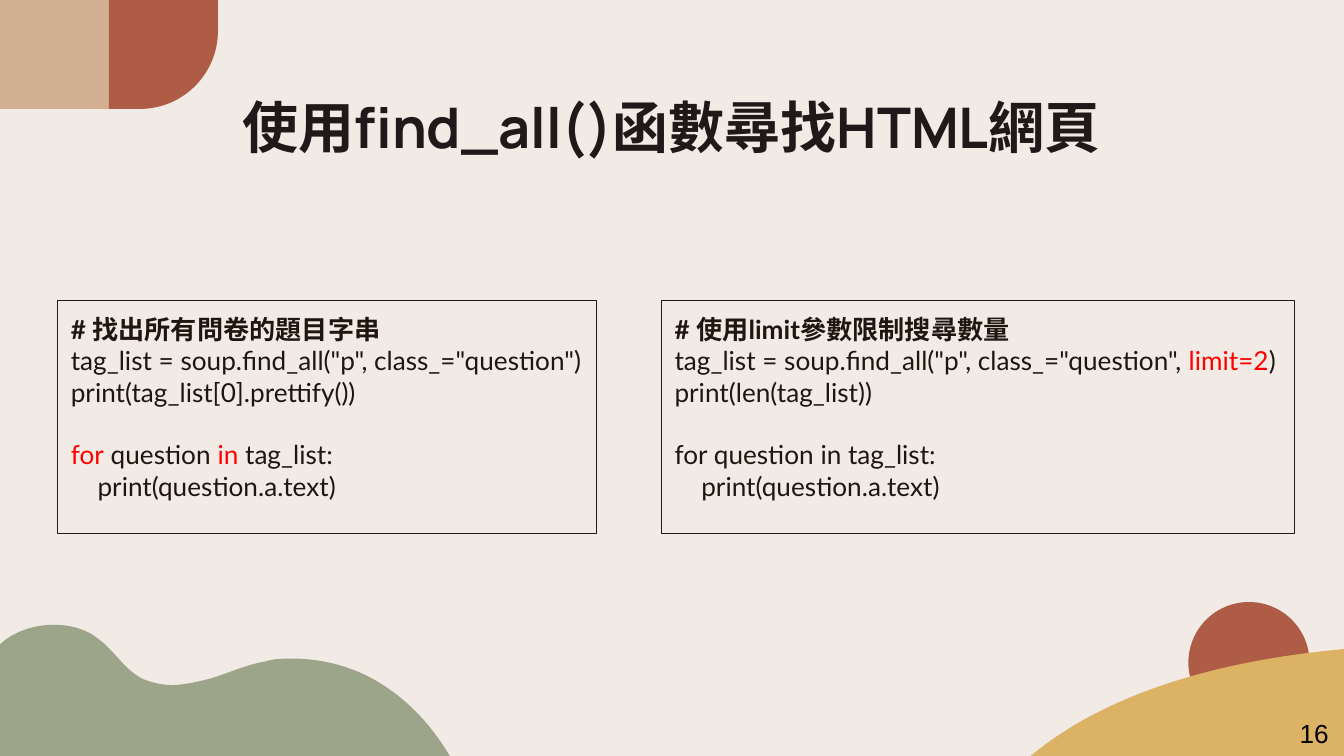
from lxml import etree
from pptx import Presentation, util as u
from pptx.dml.color import RGBColor
from pptx.enum import shapes, text
from pptx.oxml import ns

# Content: code lines are lists of (text, colour) runs
INK, CODE, RED, RUST = "1F191A", "1F1610", "FF0000", "AF5C46"
TITLE = "使用find_all()函數尋找HTML網頁"
PAGE = "16"
BOXES = [
    (1.09, 10.18, [
        [("# 找出所有問卷的題目字串", CODE)],
        [('tag_list = soup.find_all("p", class_="question")', CODE)],
        [("print(tag_list[0].prettify())", CODE)],
        [("for", RED), (" question ", CODE), ("in ", RED), ("tag_list:", CODE)],
        [("    print(question.a.text)", CODE)],
    ]),
    (12.5, 11.97, [
        [("# 使用limit參數限制搜尋數量", CODE)],
        [('tag_list = soup.find_all("p", class_="question", ', CODE),
         ("limit=2", RED), (")", CODE)],
        [("print(len(tag_list))", CODE)],
        [("for question in tag_list:", CODE)],
        [("    print(question.a.text)", CODE)],
    ]),
]
GAP_ROW = 3  # this code line follows a one-line gap

# Outlines in cm: a pair is a straight line, six numbers are a Bezier curve
HILL = [(1.02, 11.81), (0.58, 11.81, 0.13, 11.99, -0.1, 12.29),
        (-0.05, 14.43), (8.59, 14.45),
        (8.28, 13.87, 7.82, 13.31, 7.21, 12.93),
        (6.73, 12.62, 6.12, 12.45, 5.54, 12.45),
        (5.36, 12.45, 5.18, 12.45, 5.03, 12.5),
        (4.62, 12.57, 4.27, 12.75, 3.89, 12.85),
        (3.68, 12.9, 3.45, 12.95, 3.25, 12.95),
        (3.05, 12.95, 2.87, 12.9, 2.69, 12.83),
        (2.34, 12.65, 2.16, 12.29, 1.85, 12.07),
        (1.63, 11.89, 1.32, 11.81, 1.02, 11.81)]
DUNE = [(19.48, 14.29), (20.35, 13.56, 22.07, 12.57, 25.4, 12.27),
        (25.4, 14.29)]
LEAF = [(4.12, 0.58), (4.12, 1.4, 3.46, 2.06, 2.64, 2.06),
        (2.06, 2.06), (2.06, 0), (4.12, 0)]

deck = Presentation()
deck.slide_width, deck.slide_height = u.Cm(25.4), u.Cm(14.29)
slide = deck.slides.add_slide(deck.slide_layouts[6])


def tint(code):
    return RGBColor.from_string(code)


def paint(shape, code):
    shape.shadow.inherit = False
    shape.fill.solid()
    shape.fill.fore_color.rgb = tint(code)
    shape.line.fill.background()


def block(kind, left, top, wide, high):
    return slide.shapes.add_shape(kind, *map(u.Cm, (left, top, wide, high)))


def curve(steps, code):
    """Draw the outline through its end points, then bend the curved parts."""
    ends = [(u.Cm(step[-2]), u.Cm(step[-1])) for step in steps]
    pen = slide.shapes.build_freeform(*ends[0], scale=1.0)
    pen.add_line_segments(ends[1:], close=True)
    shape = pen.convert_to_shape()
    lines = list(shape._element.iter(ns.qn("a:lnTo")))
    for line, step in zip(lines, steps[1:]):
        if len(step) == 2:
            continue
        bend = etree.Element(ns.qn("a:cubicBezTo"))
        for x, y in zip(step[::2], step[1::2]):
            etree.SubElement(bend, ns.qn("a:pt"),
                             x=str(u.Cm(x) - shape.left),
                             y=str(u.Cm(y) - shape.top))
        line.getparent().replace(line, bend)
    paint(shape, code)


def setup(shape, inset=0.25):
    frame = shape.text_frame
    frame.word_wrap = True
    frame.vertical_anchor = text.MSO_ANCHOR.TOP
    frame.margin_left = frame.margin_right = u.Cm(0.25)
    frame.margin_top = frame.margin_bottom = u.Cm(inset)
    return frame


def style(para, face, size, code, bold=False):
    font = para.font
    font.name, font.size, font.bold = face, u.Pt(size), bold
    font.color.rgb = tint(code)


def label(words, area, face, size, code, align, bold=False, inset=0.25):
    box = slide.shapes.add_textbox(*map(u.Cm, area))
    para = setup(box, inset).paragraphs[0]
    para.text, para.alignment = words, align
    style(para, face, size, code, bold)


# Background and corner shapes
slide.background.fill.solid()
slide.background.fill.fore_color.rgb = tint("F1EAE5")
curve(HILL, "9CA589")
paint(block(shapes.MSO_SHAPE.OVAL, 22.46, 11.38, 2.29, 2.29), RUST)
curve(DUNE, "DCB364")
paint(block(shapes.MSO_SHAPE.RECTANGLE, 0, 0, 2.06, 2.06), "D3AF92")
curve(LEAF, RUST)

# Title and page number
label(TITLE, (1.99, 1.5, 21.41, 1.32), "Manrope", 30, INK,
      text.PP_ALIGN.CENTER, bold=True)
label(PAGE, (24.31, 13.44, 1.09, 0.86), "Arial", 14, "000000",
      text.PP_ALIGN.LEFT, inset=0.13)

# Code boxes
for left, wide, rows in BOXES:
    box = block(shapes.MSO_SHAPE.RECTANGLE, left, 5.67, wide, 4.41)
    box.shadow.inherit = False
    box.fill.background()
    box.line.color.rgb = tint(INK)
    box.line.width = u.Pt(0.25)
    frame = setup(box)
    for i, row in enumerate(rows):
        para = frame.add_paragraph() if i else frame.paragraphs[0]
        para.alignment = text.PP_ALIGN.JUSTIFY
        if i == GAP_ROW:
            para.space_before = u.Pt(16.8)
        style(para, "Lato", 14, CODE, bold=i == 0)
        for words, code in row:
            run = para.add_run()
            run.text = words
            if code != CODE:
                run.font.color.rgb = tint(code)

deck.save("out.pptx")
